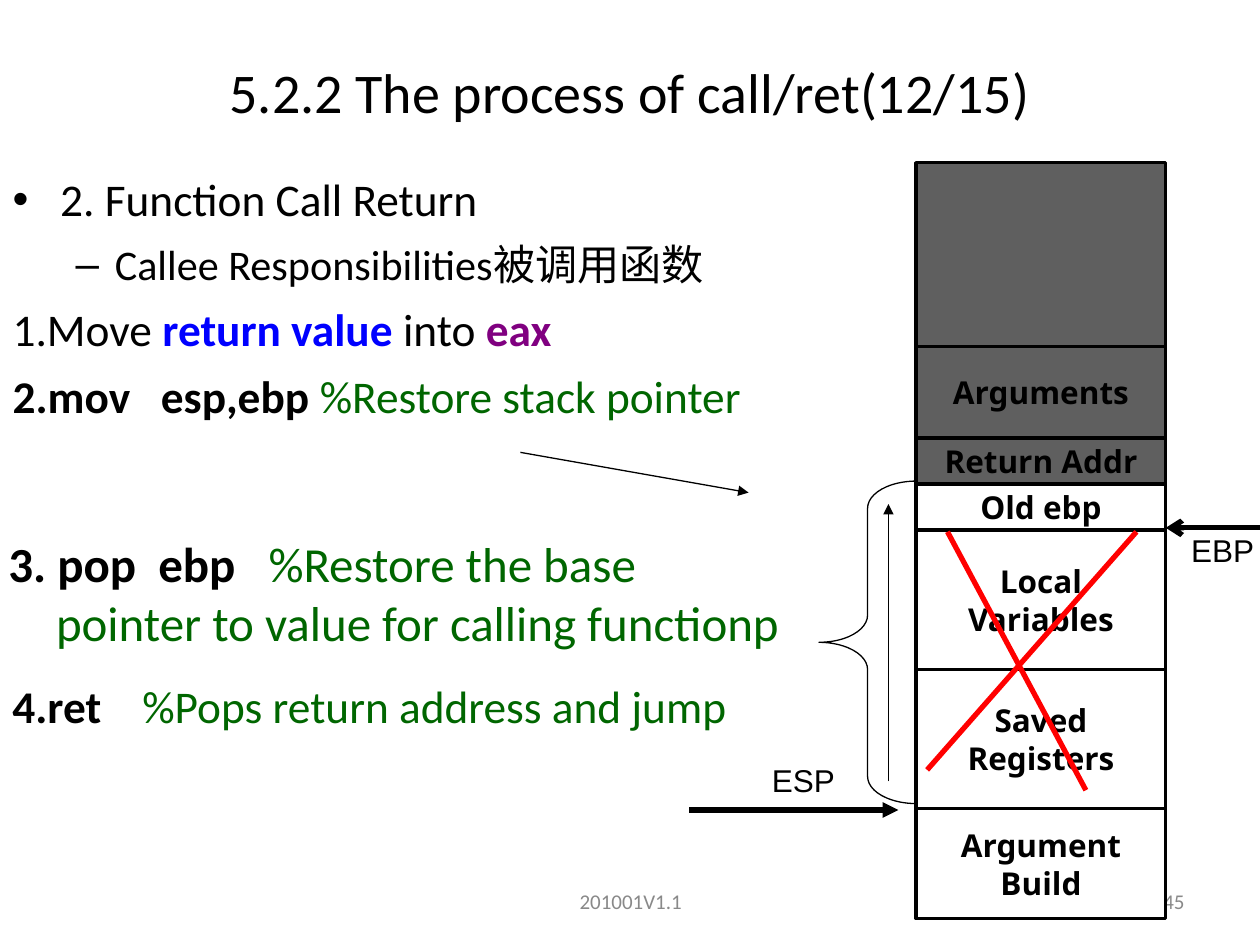
from dataclasses import dataclass

from lxml import etree
from pptx import Presentation
from pptx import util as u
from pptx.dml.color import RGBColor
from pptx.enum import shapes, text
from pptx.oxml import ns


@dataclass(frozen=True)
class Theme:
    black: str = "000000"
    white: str = "FFFFFF"
    used: str = "5F5F5F"
    footer: str = "898989"
    value: str = "0000FF"
    register: str = "800080"
    comment: str = "006600"
    cross: str = "FF0000"
    body_font: str = "Calibri"
    stack_font: str = "Noto Sans"
    pointer_font: str = "Arial"
    title_size: float = 32
    step_size: float = 28
    body_size: float = 25.9
    sub_size: float = 24.1
    label_size: float = 18
    footer_size: float = 12
    thin: float = 0.75
    border: float = 2
    thick: float = 3


@dataclass(frozen=True)
class Box:
    """A rectangle in centimetres."""
    left: float
    top: float
    width: float
    height: float

    def lengths(self):
        return [u.Cm(n) for n in (self.left, self.top, self.width, self.height)]


THEME = Theme()


def format_run(run, size, color=THEME.black, bold=False, font=THEME.body_font):
    run.font.size = u.Pt(size)
    run.font.name = font
    run.font.bold = bold
    run.font.color.rgb = RGBColor.from_string(color)


def add_runs(paragraph, parts, size):
    """Fill a paragraph from (words, color, bold) parts."""
    for words, color, bold in parts:
        run = paragraph.add_run()
        run.text = words
        format_run(run, size, color, bold)


def set_indent(paragraph, left, hanging, bullet=None):
    properties = paragraph._p.get_or_add_pPr()
    properties.set("marL", str(u.Cm(left)))
    properties.set("indent", str(-u.Cm(hanging)))
    if bullet:
        font = etree.SubElement(properties, ns.qn("a:buFont"))
        font.set("typeface", "Arial")
        etree.SubElement(properties, ns.qn("a:buChar")).set("char", bullet)
    else:
        etree.SubElement(properties, ns.qn("a:buNone"))


def place(shape, box):
    shape.left, shape.top, shape.width, shape.height = box.lengths()


def add_text_box(slide, box):
    frame = slide.shapes.add_textbox(*box.lengths()).text_frame
    frame.word_wrap = True
    return frame


def add_line(slide, start, end, width, color=THEME.black, head=None):
    connector = slide.shapes.add_connector(
        shapes.MSO_CONNECTOR.STRAIGHT, *[u.Cm(n) for n in (*start, *end)])
    connector.line.width = u.Pt(width)
    connector.line.color.rgb = RGBColor.from_string(color)
    if head:
        tail_end = etree.SubElement(connector.line._get_or_add_ln(), ns.qn("a:tailEnd"))
        tail_end.set("type", head)
    etree.SubElement(connector._element.spPr, ns.qn("a:effectLst"))


def add_label(slide, box, words, font, fill, border=None, line_spacing=None):
    """Add a filled rectangle with centred, unwrapped lines of text."""
    shape = slide.shapes.add_shape(shapes.MSO_SHAPE.RECTANGLE, *box.lengths())
    shape.shadow.inherit = False
    shape.fill.solid()
    shape.fill.fore_color.rgb = RGBColor.from_string(fill)
    if border:
        shape.line.width = u.Pt(border)
        shape.line.color.rgb = RGBColor.from_string(THEME.black)
    else:
        shape.line.fill.background()
    frame = shape.text_frame
    frame.word_wrap = False
    frame.vertical_anchor = text.MSO_ANCHOR.MIDDLE
    frame.text = words
    for paragraph in frame.paragraphs:
        paragraph.alignment = text.PP_ALIGN.CENTER
        if line_spacing:
            paragraph.line_spacing = u.Pt(line_spacing)
        for run in paragraph.runs:
            format_run(run, THEME.label_size, bold=border is not None, font=font)


def add_title(slide, box):
    title = slide.shapes.title
    place(title, box)
    title.text_frame.text = "5.2.2 The process of call/ret(12/15)"
    title.text_frame.vertical_anchor = text.MSO_ANCHOR.MIDDLE
    paragraph = title.text_frame.paragraphs[0]
    paragraph.alignment = text.PP_ALIGN.CENTER
    format_run(paragraph.runs[0], THEME.title_size)


def add_body(slide, box):
    body = slide.placeholders[1]
    place(body, box)
    frame = body.text_frame
    frame.auto_size = text.MSO_AUTO_SIZE.NONE
    black = THEME.black
    items = [
        (0, "•", [("2. Function Call Return", black, False)]),
        (1, "–", [("Callee Responsibilities被调用函数", black, False)]),
        (0, None, [("1.Move ", black, False), ("return value", THEME.value, True),
                   (" into ", black, False), ("eax", THEME.register, True)]),
        (0, None, [("2.mov   esp,ebp ", black, True),
                   ("%Restore stack pointer", THEME.comment, False)]),
    ]
    for index, (level, bullet, parts) in enumerate(items):
        paragraph = frame.add_paragraph() if index else frame.paragraphs[0]
        paragraph.level = level
        left, hanging = (2.06, 0.79) if level else (0.96, 0.96)
        set_indent(paragraph, left, hanging, bullet)
        paragraph.space_before = u.Pt(7 if index else 0)
        add_runs(paragraph, parts, THEME.sub_size if level else THEME.body_size)


def add_step(slide, box, code, comment, size, line_spacing=1.0):
    paragraph = add_text_box(slide, box).paragraphs[0]
    set_indent(paragraph, 0.96, 0.96)
    paragraph.line_spacing = line_spacing
    add_runs(paragraph, [(code, THEME.black, True), (comment, THEME.comment, False)], size)


def add_footer(slide, box, words, alignment):
    frame = add_text_box(slide, box)
    frame.vertical_anchor = text.MSO_ANCHOR.MIDDLE
    frame.text = words
    frame.paragraphs[0].alignment = alignment
    format_run(frame.paragraphs[0].runs[0], THEME.footer_size, THEME.footer)


def add_stack(slide, box):
    """Stack the frame's rows downwards; row heights are shares of the box."""
    rows = [("", 3.71, THEME.used), ("Arguments", 1.85, THEME.used),
            ("Return Addr", 0.93, THEME.used), ("Old ebp", 0.93, THEME.white),
            ("Local\nVariables", 2.81, THEME.white),
            ("Saved\nRegisters", 2.81, THEME.white),
            ("Argument\nBuild", 2.22, THEME.white)]
    scale = box.height / sum(height for _, height, _ in rows)
    top = box.top
    for words, share, fill in rows:
        height = share * scale
        add_label(slide, Box(box.left, top, box.width, height), words,
                  THEME.stack_font, fill, THEME.border, line_spacing=21.6)
        top += height


def add_brace(slide, box):
    """Add a brace with an upward arrow inside it."""
    brace = slide.shapes.add_shape(shapes.MSO_SHAPE.LEFT_BRACE, *box.lengths())
    brace.shadow.inherit = False
    brace.fill.background()
    brace.line.width = u.Pt(THEME.thin)
    brace.line.color.rgb = RGBColor.from_string(THEME.black)
    brace.adjustments[0] = 0.28
    x = box.left + 1.4
    add_line(slide, (x, box.top + 6.05), (x, box.top + 0.46), THEME.thin, head="triangle")


def add_cross(slide, box):
    left, top = box.left, box.top
    right, bottom = left + box.width, top + box.height
    add_line(slide, (left + 0.41, top), (right - 1.02, bottom), THEME.thick, THEME.cross)
    add_line(slide, (right, top), (left, bottom - 0.41), THEME.thick, THEME.cross)


def add_pointer(slide, start, end, label_box, words, head):
    add_line(slide, start, end, THEME.thick, head=head)
    add_label(slide, label_box, words, THEME.pointer_font, THEME.white)


def main():
    presentation = Presentation()
    presentation.slide_width, presentation.slide_height = u.Cm(25.4), u.Cm(19.05)
    slide = presentation.slides.add_slide(presentation.slide_layouts[1])
    add_title(slide, Box(0, 0.76, 25.4, 2.16))
    add_body(slide, Box(0, 3.33, 16.1, 6.6))
    add_footer(slide, Box(8.69, 17.65, 8.05, 1.02), "201001V1.1", text.PP_ALIGN.CENTER)
    add_footer(slide, Box(18.21, 17.65, 5.92, 1.02), "45", text.PP_ALIGN.RIGHT)
    add_stack(slide, Box(18.47, 3.28, 5.03, 15.24))
    add_brace(slide, Box(16.51, 9.7, 1.96, 6.5))
    add_line(slide, (10.49, 9.12), (15.09, 9.93), THEME.thin, head="triangle")
    add_cross(slide, Box(18.69, 10.72, 4.22, 5.21))
    add_pointer(slide, (13.89, 16.33), (18.11, 16.33),
                Box(15.09, 15.32, 2.21, 0.81), "ESP", "triangle")
    add_pointer(slide, (25.4, 10.64), (23.5, 10.64),
                Box(23.9, 10.69, 1.5, 0.81), "EBP", "arrow")
    add_step(slide, Box(-0.08, 10.64, 16.1, 4.55), "3. pop  ebp   ",
             "%Restore the base pointer to value for calling functionp", THEME.step_size)
    add_step(slide, Box(0, 13.67, 16.1, 2.26), "4.ret    ",
             "%Pops return address and jump", THEME.body_size, line_spacing=0.9)
    presentation.save("out.pptx")


if __name__ == "__main__":
    main()
